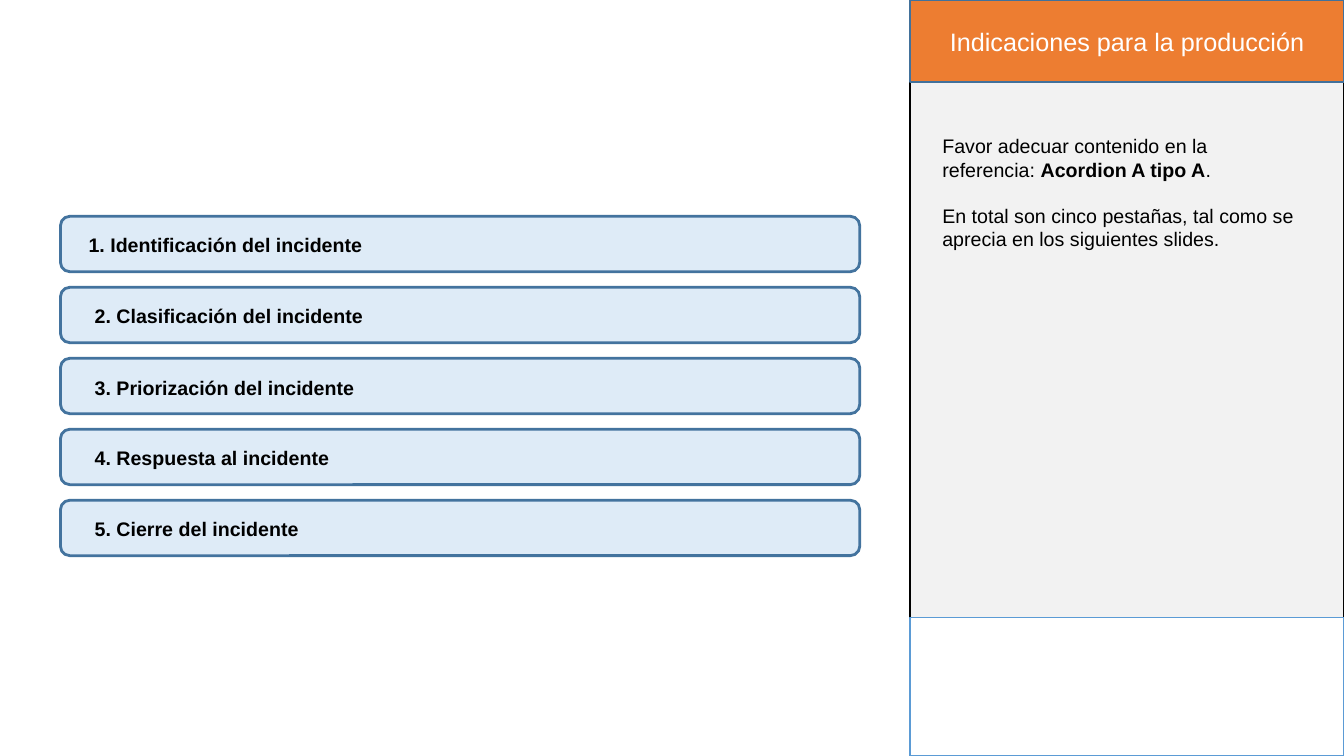
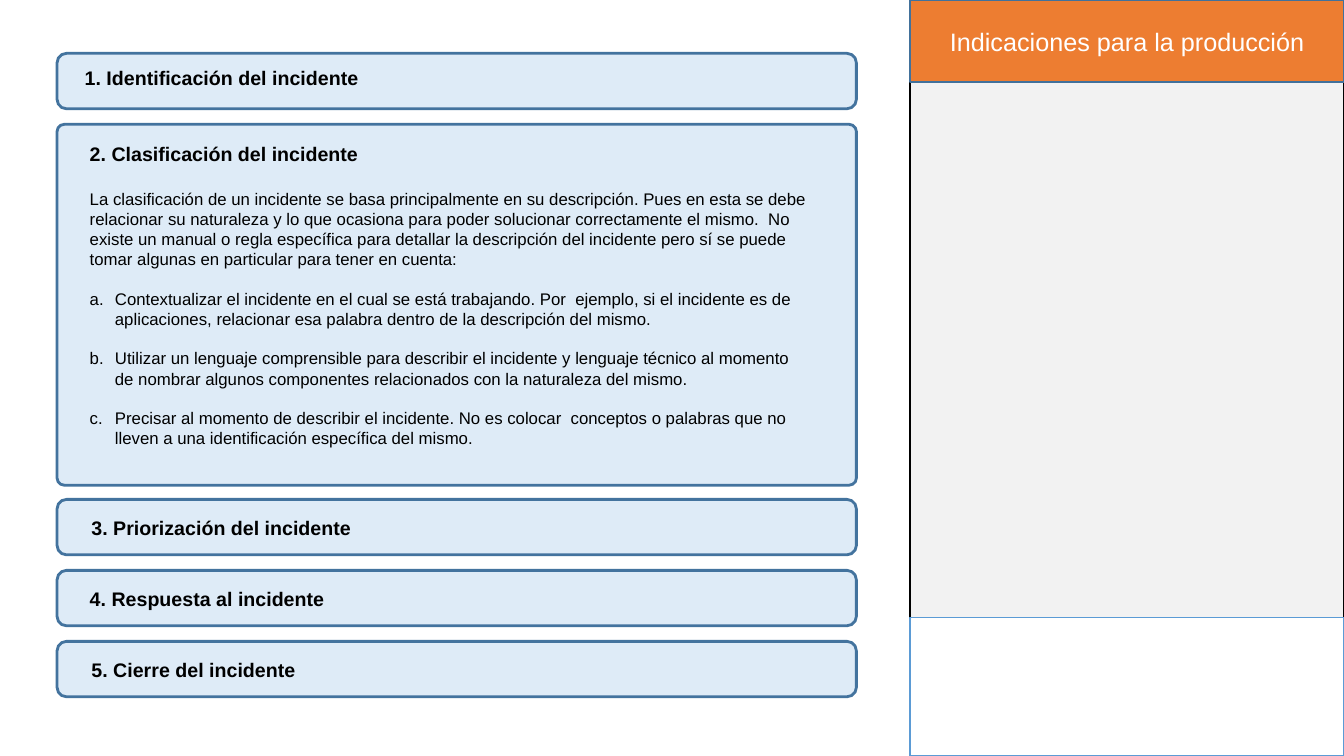
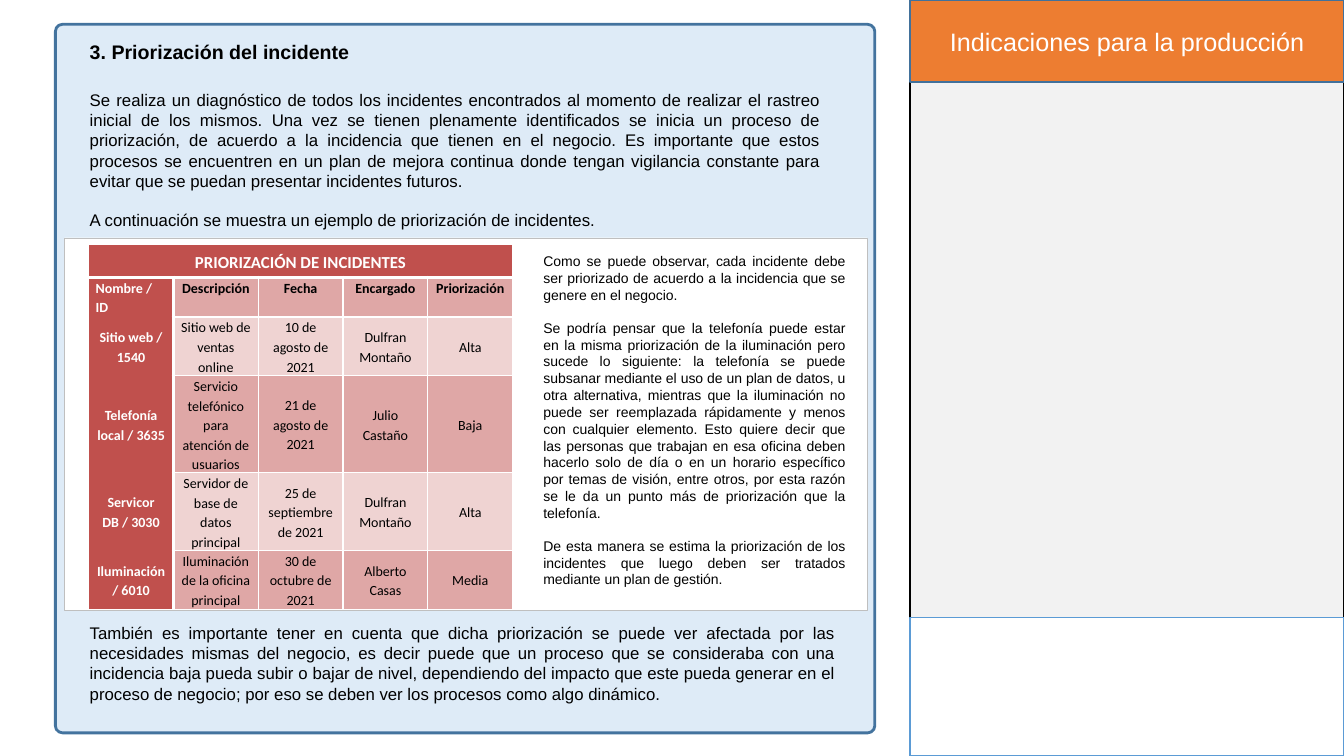
from dataclasses import dataclass
from typing import NamedTuple

from lxml import etree
from pptx import Presentation
from pptx.dml.color import RGBColor
from pptx.enum.shapes import MSO_SHAPE
from pptx.enum.text import MSO_ANCHOR, PP_ALIGN
from pptx.oxml.ns import qn
from pptx.util import Emu, Inches, Pt

RECT, ROUNDED = MSO_SHAPE.RECTANGLE, MSO_SHAPE.ROUNDED_RECTANGLE
TOP, MIDDLE = MSO_ANCHOR.TOP, MSO_ANCHOR.MIDDLE
LEFT, CENTER, JUSTIFY = PP_ALIGN.LEFT, PP_ALIGN.CENTER, PP_ALIGN.JUSTIFY

# The slide is a grid of 160 columns by 90 rows of square cells.
COLUMNS, ROWS = 160, 90
SLIDE_HEIGHT = Inches(7.5)
CELL = SLIDE_HEIGHT // ROWS

COLORS = {
    "black": "000000",
    "white": "FFFFFF",
    "panel": "F2F2F2",
    "header": "ED7D31",
    "header_edge": "42719B",
    "footer_edge": "5B9BD5",
    "tab": "DEEBF7",
    "tab_edge": "43739E",
    "frame_edge": "BFBFBF",
    "table_head": "C0504D",
    "table_dark": "DFA7A6",
    "table_light": "EFD3D2",
}

PANEL_LEFT = 108.36
PANEL_WIDTH = COLUMNS - PANEL_LEFT
TAB_WIDTH, TAB_HEIGHT, TAB_PITCH = 95.16, 6.6, 8.45
LINE_FACTOR = 1.15  # height of one Arial line against its size

TITLES = [
    "1. Identificación del incidente",
    "2. Clasificación del incidente",
    "3. Priorización del incidente",
    "4. Respuesta al incidente",
    "5. Cierre del incidente",
]


class Box(NamedTuple):
    left: float
    top: float
    width: float
    height: float

    def emu(self) -> list[Emu]:
        return [Emu(round(cells * CELL)) for cells in self]


class Run(NamedTuple):
    text: str
    bold: bool = False


@dataclass(frozen=True)
class TextStyle:
    size: float
    color: str = "black"
    bold: bool = False
    align: PP_ALIGN = LEFT
    font: str = "Arial"


@dataclass(frozen=True)
class Tab:
    title: str
    box: Box
    label_left: float
    label_drop: float = 1.35
    corner: float = 0.17


TITLE_STYLE = TextStyle(14, bold=True)
NOTE_STYLE = TextStyle(14)
HEADER_STYLE = TextStyle(18, "white", align=CENTER)
BODY_STYLE = TextStyle(12)
JUSTIFIED_STYLE = TextStyle(12, align=JUSTIFY)
SIDE_STYLE = TextStyle(10, align=JUSTIFY)

NOTE = [
    [Run("Favor adecuar contenido en la referencia: "),
     Run("Acordion A tipo A", True), Run(".")],
    [Run("En total son cinco pestañas, tal como se aprecia en los siguientes slides.")],
]
CLASSIFICATION = [
    "La clasificación de un incidente se basa principalmente en su descripción. Pues en esta "
    "se debe relacionar su naturaleza y lo que ocasiona para poder solucionar correctamente "
    "el mismo.  No existe un manual o regla específica para detallar la descripción del "
    "incidente pero sí se puede tomar algunas en particular para tener en cuenta:",
    "Contextualizar el incidente en el cual se está trabajando. Por  ejemplo, si el incidente "
    "es de aplicaciones, relacionar esa palabra dentro de la descripción del mismo.",
    "Utilizar un lenguaje comprensible para describir el incidente y lenguaje técnico al "
    "momento de nombrar algunos componentes relacionados con la naturaleza del mismo.",
    "Precisar al momento de describir el incidente. No es colocar  conceptos o palabras que "
    "no lleven a una identificación específica del mismo.",
]
DIAGNOSIS = [
    "Se realiza un diagnóstico de todos los incidentes encontrados al momento de realizar el "
    "rastreo inicial de los mismos. Una vez se tienen plenamente identificados se inicia un "
    "proceso de priorización, de acuerdo a la incidencia que tienen en el negocio. Es "
    "importante que estos procesos se encuentren en un plan de mejora continua donde tengan "
    "vigilancia constante para evitar que se puedan presentar incidentes futuros.",
    "A continuación se muestra un ejemplo de priorización de incidentes.",
]
CLOSING = [
    "También es importante tener en cuenta que dicha priorización se puede ver afectada por "
    "las necesidades mismas del negocio, es decir puede que un proceso que se consideraba con "
    "una incidencia baja pueda subir o bajar de nivel, dependiendo del impacto que este pueda "
    "generar en el proceso de negocio; por eso se deben ver los procesos como algo dinámico.",
]
EXPLANATION = [
    "Como se puede observar, cada incidente debe ser priorizado de acuerdo a la incidencia "
    "que se genere en el negocio.",
    "Se podría pensar que la telefonía puede estar en la misma priorización de la iluminación "
    "pero sucede lo siguiente: la telefonía se puede subsanar mediante el uso de un plan de "
    "datos, u otra alternativa, mientras que la iluminación no puede ser reemplazada "
    "rápidamente y menos con cualquier elemento. Esto quiere decir que las personas que "
    "trabajan en esa oficina deben hacerlo solo de día o en un horario específico por temas "
    "de visión, entre otros, por esta razón se le da un punto más de priorización que la "
    "telefonía.",
    "De esta manera se estima la priorización de los incidentes que luego deben ser tratados "
    "mediante un plan de gestión.",
]
INCIDENTS = [
    ["PRIORIZACIÓN DE INCIDENTES", "", "", "", ""],
    ["Nombre / ID", "Descripción", "Fecha", "Encargado", "Priorización"],
    ["Sitio web / 1540", "Sitio web de ventas online", "10 de agosto de 2021",
     "Dulfran Montaño", "Alta"],
    ["Telefonía local / 3635", "Servicio telefónico para atención de usuarios",
     "21 de agosto de 2021", "Julio Castaño", "Baja"],
    ["Servicor DB / 3030", "Servidor de base de datos principal",
     "25 de septiembre de 2021", "Dulfran Montaño", "Alta"],
    ["Iluminación / 6010", "Iluminación de la oficina principal",
     "30 de octubre de 2021", "Alberto Casas", "Media"],
]
INCIDENT_ROWS = [4, 4.7, 7, 11.55, 9.25, 7]
INCIDENT_COLUMN = 10.1


def rgb(name: str) -> RGBColor:
    return RGBColor.from_string(COLORS[name])


def apply_format(target, values: dict) -> None:
    for attribute, value in values.items():
        setattr(target, attribute, value)


def write(frame, paragraphs: list, style: TextStyle, gap: bool = True) -> None:
    """Fill a text frame; gap leaves one line free between paragraphs."""
    frame.word_wrap = True
    for index, content in enumerate(paragraphs):
        paragraph = frame.paragraphs[0] if index == 0 else frame.add_paragraph()
        paragraph.alignment = style.align
        if index and gap:
            paragraph.space_before = Pt(style.size * LINE_FACTOR)
        runs = [Run(content, style.bold)] if isinstance(content, str) else content
        for text, bold in runs:
            run = paragraph.add_run()
            run.text = text
            apply_format(run.font, {"name": style.font, "size": Pt(style.size), "bold": bold})
            run.font.color.rgb = rgb(style.color)


def add_text(slide, box: Box, paragraphs: list, style: TextStyle):
    frame = slide.shapes.add_textbox(*box.emu()).text_frame
    write(frame, paragraphs, style)
    return frame


def add_block(slide, kind: MSO_SHAPE, box: Box, fill: str, edge: str, weight: float = 1):
    shape = slide.shapes.add_shape(kind, *box.emu())
    shape.shadow.inherit = False
    shape.fill.solid()
    shape.fill.fore_color.rgb = rgb(fill)
    shape.line.color.rgb = rgb(edge)
    shape.line.width = Pt(weight)
    return shape


def add_panel(slide) -> None:
    """Draw the production notes column on the right."""
    add_block(slide, RECT, Box(PANEL_LEFT, 0, PANEL_WIDTH, ROWS), "panel", "black")
    header = add_block(slide, RECT, Box(PANEL_LEFT, 0, PANEL_WIDTH, 9.76),
                       "header", "header_edge")
    header.text_frame.vertical_anchor = MIDDLE
    write(header.text_frame, ["Indicaciones para la producción"], HEADER_STYLE)
    add_block(slide, RECT, Box(PANEL_LEFT, 73.5, PANEL_WIDTH, 16.5), "white", "footer_edge")


def add_tab(slide, tab: Tab) -> None:
    bar = add_block(slide, ROUNDED, tab.box, "tab", "tab_edge", 2)
    bar.adjustments[0] = tab.corner
    label = Box(tab.label_left, tab.box.top + tab.label_drop, 40, 4)
    add_text(slide, label, [tab.title], TITLE_STYLE)


def closed_tab(number: int, left: float, top: float, label_left: float,
               label_drop: float = 1.35) -> Tab:
    return Tab(TITLES[number - 1], Box(left, top, TAB_WIDTH, TAB_HEIGHT),
               label_left, label_drop)


def letter_paragraph(paragraph) -> None:
    """Number a paragraph a., b., c. with a hanging indent."""
    properties = paragraph._p.get_or_add_pPr()
    indent = Inches(0.25)
    properties.set("marL", str(indent))
    properties.set("indent", str(-indent))
    etree.SubElement(properties, qn("a:buFont"), typeface="+mj-lt")
    etree.SubElement(properties, qn("a:buAutoNum"), type="alphaLcPeriod")


def set_borders(cell, widths: dict[str, float]) -> None:
    """Draw white borders by side (L, R, T, B); a width of 0 hides one."""
    properties = cell._tc.get_or_add_tcPr()
    for side, width in widths.items():
        line = etree.SubElement(properties, qn(f"a:ln{side}"), w=str(Pt(width)))
        if width:
            solid = etree.SubElement(line, qn("a:solidFill"))
            etree.SubElement(solid, qn("a:srgbClr"), val=COLORS["white"])
        else:
            etree.SubElement(line, qn("a:noFill"))


def format_incident(cell, row: int, column: int, text: str) -> None:
    is_title, is_header, is_name = row == 0, row == 1, column == 0
    last = len(INCIDENTS) - 1
    set_borders(cell, {
        "L": 3 if column == 1 and row else 1,
        "R": 3 if is_name and row else 1,
        "T": 3 if is_header else 0 if is_name and row else 1,
        "B": 3 if is_title else 0 if is_name and row < last else 1,
    })
    red = is_title or is_name
    cell.fill.solid()
    cell.fill.fore_color.rgb = rgb(
        "table_head" if red else "table_dark" if row % 2 else "table_light")
    apply_format(cell, {
        "margin_left": Inches(0.07), "margin_right": Inches(0.07),
        "margin_top": 0, "margin_bottom": 0,
        "vertical_anchor": TOP if is_header else MIDDLE,
    })
    style = TextStyle(12 if is_title else 10, "white" if red else "black", red or is_header,
                      LEFT if is_header and is_name else CENTER, "Calibri")
    write(cell.text_frame, [text], style)
    cell.text_frame.paragraphs[0].line_spacing = 1.15


def add_incident_table(slide, left: float, top: float) -> None:
    columns = len(INCIDENTS[0])
    box = Box(left, top, columns * INCIDENT_COLUMN, sum(INCIDENT_ROWS))
    table = slide.shapes.add_table(len(INCIDENTS), columns, *box.emu()).table
    for column in table.columns:
        column.width = Emu(round(INCIDENT_COLUMN * CELL))
    for row, height in zip(table.rows, INCIDENT_ROWS):
        row.height = Emu(round(height * CELL))
    table.cell(0, 0).merge(table.cell(0, columns - 1))
    for row, values in enumerate(INCIDENTS):
        for column, text in enumerate(values):
            format_incident(table.cell(row, column), row, column, text)


def build_overview(slide) -> None:
    add_text(slide, Box(111, 15.36, 44.5, 39.6), NOTE, NOTE_STYLE)
    for number in range(1, len(TITLES) + 1):
        label_left = 9.36 if number == 1 else 10.08
        label_drop = 1.5 if number == 3 else 1.35
        top = 25.75 + (number - 1) * TAB_PITCH
        add_tab(slide, closed_tab(number, 7.2, top, label_left, label_drop))


def build_classification(slide) -> None:
    left, first_top, lower_top = 6.8, 6.35, 59.45
    add_tab(slide, closed_tab(1, left, first_top, 8.9, 0.85))
    add_tab(slide, Tab(TITLES[1], Box(left, first_top + TAB_PITCH, TAB_WIDTH, 42.96),
                       9.5, 1.5, 0.02))
    body = add_text(slide, Box(9.5, 21.85, 88.2, 32.75), CLASSIFICATION, BODY_STYLE)
    for paragraph in body.paragraphs[1:]:
        letter_paragraph(paragraph)
    for step, label_left in enumerate([9.7, 9.5, 9.7]):
        add_tab(slide, closed_tab(step + 3, left, lower_top + step * TAB_PITCH, label_left))


def build_prioritization(slide) -> None:
    add_tab(slide, Tab(TITLES[2], Box(6.6, 2.9, 97.55, 84.35), 9.5, 1.3, 0.01))
    add_text(slide, Box(9.5, 10.1, 89.4, 18.1), DIAGNOSIS, JUSTIFIED_STYLE)
    add_text(slide, Box(9.5, 73.55, 91.2, 10.9), CLOSING, JUSTIFIED_STYLE)
    add_block(slide, RECT, Box(7.7, 28.3, 95.5, 44.3), "white", "frame_edge", 0.25)
    add_incident_table(slide, 10.55, 29.05)
    add_text(slide, Box(63.5, 29.5, 38.3, 41.65), EXPLANATION, SIDE_STYLE)


def main() -> None:
    deck = Presentation()
    deck.slide_width, deck.slide_height = Emu(COLUMNS * CELL), SLIDE_HEIGHT
    blank = deck.slide_layouts[6]
    for build in (build_overview, build_classification, build_prioritization):
        slide = deck.slides.add_slide(blank)
        add_panel(slide)
        build(slide)
    deck.save("out.pptx")


if __name__ == "__main__":
    main()
